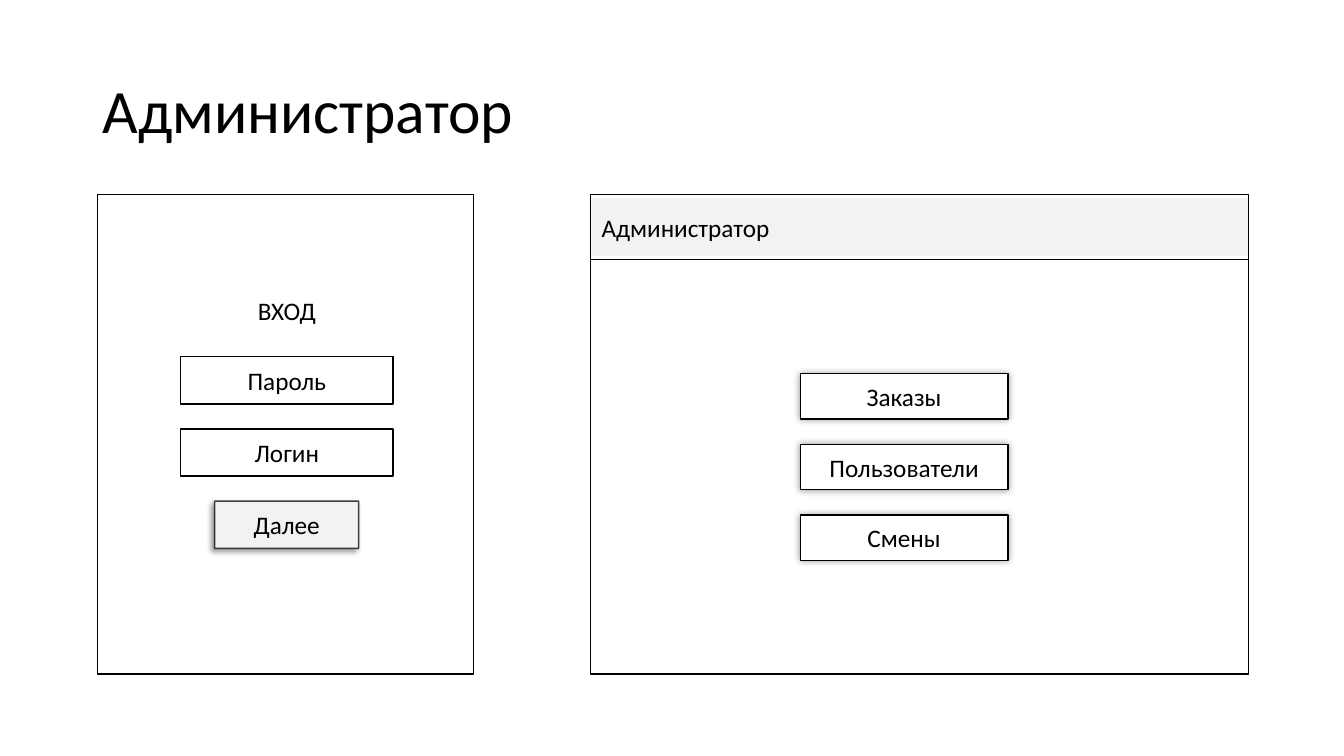
from dataclasses import dataclass
from typing import Optional

from lxml import etree
from pptx import Presentation
from pptx.dml.color import RGBColor
from pptx.enum.shapes import MSO_CONNECTOR, MSO_SHAPE
from pptx.enum.text import MSO_ANCHOR, PP_ALIGN
from pptx.oxml.ns import qn
from pptx.shapes.connector import Connector
from pptx.shapes.group import GroupShape
from pptx.text.text import TextFrame
from pptx.util import Cm, Pt

BLACK = RGBColor(0x00, 0x00, 0x00)
WHITE = RGBColor(0xFF, 0xFF, 0xFF)
PALE_GREY = RGBColor(0xF2, 0xF2, 0xF2)
FONT = "Calibri"
RECTANGLE = MSO_SHAPE.RECTANGLE
STRAIGHT = MSO_CONNECTOR.STRAIGHT
MIDDLE = MSO_ANCHOR.MIDDLE
LEFT, CENTER = PP_ALIGN.LEFT, PP_ALIGN.CENTER

PANEL_TOP, PANEL_HEIGHT = 4.9, 12.09
LOGIN_LEFT, LOGIN_WIDTH = 2.46, 9.47
ADMIN_LEFT, ADMIN_WIDTH = 14.88, 16.59
FIELD_LEFT, FIELD_WIDTH, FIELD_HEIGHT = 4.55, 5.36, 1.19
FIELD_TOP, FIELD_STEP = 8.99, 1.82
MENU_TOP, MENU_STEP = 9.42, 1.78
HEADER_LINE_TOP = 6.53


@dataclass(frozen=True)
class Shadow:
    blur: float
    distance: float
    angle: int


@dataclass(frozen=True)
class Box:
    """A rectangle of the mock-up, measured in centimetres."""
    left: float
    top: float
    width: float
    height: float
    label: str = ""
    fill: RGBColor = WHITE
    outlined: bool = True
    line_opacity: int = 100
    align: PP_ALIGN = CENTER
    shadow: Optional[Shadow] = None


DROP_SHADOW = Shadow(4, 3, 135)
GLOW_SHADOW = Shadow(5, 0, 0)

LOGIN_SCREEN = [
    Box(LOGIN_LEFT, PANEL_TOP, LOGIN_WIDTH, PANEL_HEIGHT),
    *(Box(FIELD_LEFT, FIELD_TOP + row * FIELD_STEP, FIELD_WIDTH, FIELD_HEIGHT, label)
      for row, label in enumerate(["Пароль", "Логин"])),
    Box(5.41, FIELD_TOP + 2 * FIELD_STEP, 3.63, FIELD_HEIGHT, "Далее",
        fill=PALE_GREY, line_opacity=73, shadow=DROP_SHADOW),
    Box(FIELD_LEFT, 7.24, FIELD_WIDTH, FIELD_HEIGHT, "ВХОД", outlined=False),
]
ADMIN_SCREEN = [
    Box(ADMIN_LEFT, PANEL_TOP, ADMIN_WIDTH, PANEL_HEIGHT),
    *(Box(20.17, MENU_TOP + row * MENU_STEP, 5.23, 1.14, label, shadow=GLOW_SHADOW)
      for row, label in enumerate(["Заказы", "Пользователи", "Смены"])),
    Box(14.91, 5.0, 16.54, 1.45, "Администратор",
        fill=PALE_GREY, outlined=False, align=LEFT),
]


def write_text(frame: TextFrame, text: str, size: int, align: PP_ALIGN) -> None:
    frame.word_wrap = True
    frame.vertical_anchor = MIDDLE
    paragraph = frame.paragraphs[0]
    paragraph.alignment = align
    run = paragraph.add_run()
    run.text = text
    run.font.name = FONT
    run.font.size = Pt(size)
    run.font.color.rgb = BLACK


def add_alpha(color: etree._Element, percent: int) -> None:
    etree.SubElement(color, qn("a:alpha"), val=str(percent * 1000))


def add_shadow(effects: etree._Element, shadow: Shadow) -> None:
    outer = etree.SubElement(
        effects, qn("a:outerShdw"), blurRad=str(Pt(shadow.blur)),
        dist=str(Pt(shadow.distance)), dir=str(shadow.angle * 60000),
        algn="ctr", rotWithShape="0")
    add_alpha(etree.SubElement(outer, qn("a:srgbClr"), val=str(BLACK)), 40)


def draw_box(group: GroupShape, box: Box) -> None:
    shape = group.shapes.add_shape(
        RECTANGLE, Cm(box.left), Cm(box.top), Cm(box.width), Cm(box.height))
    shape.fill.solid()
    shape.fill.fore_color.rgb = box.fill
    if box.outlined:
        shape.line.color.rgb = BLACK
        shape.line.width = Pt(1)
        if box.line_opacity < 100:
            add_alpha(shape.line._ln.find(".//" + qn("a:srgbClr")), box.line_opacity)
    else:
        shape.line.fill.background()
    shape.shadow.inherit = False
    if box.shadow:
        add_shadow(shape._element.spPr.find(qn("a:effectLst")), box.shadow)
    if box.label:
        write_text(shape.text_frame, box.label, 18, box.align)


def draw_header_line(group: GroupShape) -> Connector:
    line = group.shapes.add_connector(
        STRAIGHT, Cm(ADMIN_LEFT), Cm(HEADER_LINE_TOP),
        Cm(ADMIN_LEFT + ADMIN_WIDTH), Cm(HEADER_LINE_TOP))
    line.line.color.rgb = BLACK
    line.line.width = Pt(0.5)
    etree.SubElement(line._element.spPr, qn("a:effectLst"))
    return line


def main() -> None:
    presentation = Presentation()
    presentation.slide_width = Cm(33.87)
    presentation.slide_height = Cm(19.05)
    slide = presentation.slides.add_slide(presentation.slide_layouts[6])

    title = slide.shapes.add_textbox(Cm(2.34), Cm(1.02), Cm(29.21), Cm(3.68))
    write_text(title.text_frame, "Администратор", 44, LEFT)
    title.text_frame.paragraphs[0].line_spacing = 0.9

    login = slide.shapes.add_group_shape()
    for box in LOGIN_SCREEN:
        draw_box(login, box)

    admin = slide.shapes.add_group_shape()
    for box in ADMIN_SCREEN:
        draw_box(admin, box)
    draw_header_line(admin)

    presentation.save("out.pptx")


if __name__ == "__main__":
    main()
